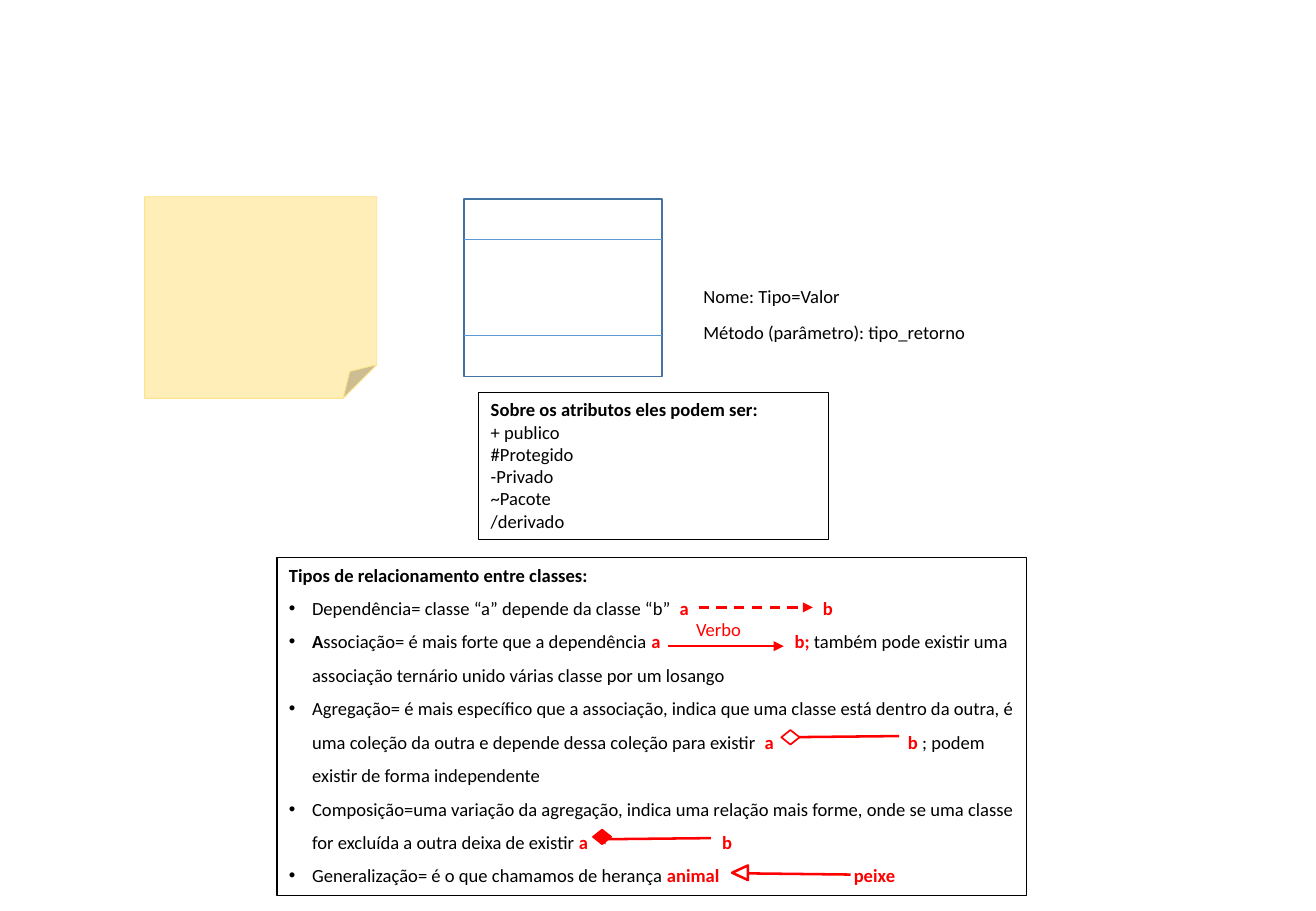
from lxml import etree
from pptx import Presentation
from pptx.dml.color import RGBColor
from pptx.enum.dml import MSO_LINE
from pptx.enum.shapes import MSO_CONNECTOR, MSO_SHAPE as SHAPE
from pptx.enum.text import MSO_ANCHOR, MSO_AUTO_SIZE as AUTO, PP_ALIGN
from pptx.oxml.ns import qn
from pptx.util import Pt

PX = 9144  # 100 px to the inch
COLORS = {"black": "000000", "red": "FF0000", "white": "FFFFFF",
          "note": "FFEEB7", "edge": "FFE389", "frame": "43739E", "rule": "5B9BD5"}
GAP = 77  # points of extra width after the space that leaves room for an arrow

# A run is (text, style): "" plain, "b" bold, "r" red, "rb" red bold, "gap" wide space
LABELS = [
    ((569, 230, 143, 29), [("Nome: Tipo=Valor", "")]),
    ((569, 259, 260, 29), [("Método (parâmetro): tipo_retorno", "")]),
]
VERB = ((563, 504, 58, 29), [("Verbo", "r")])
SCOPES = [
    [("Sobre os atributos eles podem ser:", "b")],
    [("+ publico", "")],
    [("#Protegido", "")],
    [("-Privado", "")],
    [("~Pacote", "")],
    [("/derivado", "")],
]
TITLE = [("Tipos de relacionamento entre classes:", "b")]
LINKS = [
    [("Dependência= classe “a” depende da classe “b” ", ""),
     (" a", "rb"), (" ", "gap"), ("b", "rb")],
    [("A", "b"), ("ssociação= é mais forte que a dependência ", ""),
     ("a", "rb"), (" ", "gap"), ("b; ", "rb"),
     ("também pode existir uma associação ternário unido várias classe por um losango", "")],
    [("Agregação= é mais específico que a associação, indica que uma classe está dentro "
      "da outra, é uma coleção da outra e depende dessa coleção para existir ", ""),
     (" a", "rb"), (" ", "gap"), ("b ", "rb"),
     ("; podem existir de forma independente", "")],
    [("Composição=uma variação da agregação, indica uma relação mais forme, onde se uma "
      "classe for excluída a outra deixa de existir ", ""),
     ("a", "rb"), (" ", "gap"), ("b", "rb")],
    [("Generalização= é o que chamamos de herança ", ""),
     ("animal", "rb"), (" ", "gap"), ("peixe", "rb")],
]
# from, to, has arrowhead, dashed
ARROWS = [
    ((575, 500), (669, 500), True, True),
    ((550, 532), (645, 532), True, False),
    ((740, 606), (645, 607), True, False),
    ((585, 690), (490, 691), True, False),
    ((700, 720), (611, 719), False, False),
]
# shape, place, fill, line width, rotation
ENDS = [
    (SHAPE.DIAMOND, (643, 601, 15, 12), "white", 1, 0),
    (SHAPE.DIAMOND, (488, 683, 15, 12), "red", 1, 0),
    (SHAPE.ISOSCELES_TRIANGLE, (603, 712, 12, 13), "white", 1.5, 270),
]
CLASS = (382, 164, 163, 146)
RULES = (197, 276)


def rgb(name):
    return RGBColor.from_string(COLORS[name])


def scale(nums):
    return [n * PX for n in nums]


def block(where, kind, at, fill, line, width):
    shape = where.add_shape(kind, *scale(at))
    shape.shadow.inherit = False
    if fill:
        shape.fill.solid()
        shape.fill.fore_color.rgb = rgb(fill)
    else:
        shape.fill.background()
    shape.line.color.rgb = rgb(line)
    shape.line.width = Pt(width)
    return shape


def wire(where, start, end, color, width):
    line = where.add_connector(MSO_CONNECTOR.STRAIGHT, *scale(start + end))
    line.line.color.rgb = rgb(color)
    line.line.width = Pt(width)
    etree.SubElement(line._element.spPr, qn("a:effectLst"))
    return line


def bullet(para):
    props = para._p.get_or_add_pPr()
    props.set("marL", str(19 * PX))
    props.set("indent", str(-19 * PX))
    para.line_spacing = 1.5
    etree.SubElement(props, qn("a:buFont"), typeface="Arial")
    etree.SubElement(props, qn("a:buChar"), char="•")


def write(shape, paras, listed=(), wrap=True):
    """Fill a shape with plain paragraphs, then bulleted ones."""
    frame = shape.text_frame
    frame.word_wrap = wrap
    frame.auto_size = AUTO.SHAPE_TO_FIT_TEXT
    frame.vertical_anchor = MSO_ANCHOR.TOP
    for i, runs in enumerate([*paras, *listed]):
        para = frame.add_paragraph() if i else frame.paragraphs[0]
        para.alignment = PP_ALIGN.LEFT
        if i >= len(paras):
            bullet(para)
        for text, style in runs:
            run = para.add_run()
            run.text = text
            font = run.font
            font.name, font.size = "Calibri", Pt(11)
            font.bold = style in ("b", "rb")
            font.color.rgb = rgb("red" if style in ("r", "rb") else "black")
            if style == "gap":
                run._r.get_or_add_rPr().set("spc", str(GAP * 100))


def label(where, at, runs, wrap=True):
    write(where.add_textbox(*scale(at)), [runs], wrap=wrap)


def main():
    deck = Presentation()
    deck.slide_width, deck.slide_height = scale((1083, 750))
    shapes = deck.slides.add_slide(deck.slide_layouts[6]).shapes

    block(shapes, SHAPE.FOLDED_CORNER, (119, 162, 191, 166), "note", "edge", 0.5)

    group = shapes.add_group_shape().shapes
    block(group, SHAPE.RECTANGLE, CLASS, None, "frame", 1)
    left, right = CLASS[0], CLASS[0] + CLASS[2]
    for y in RULES:
        wire(group, (left, y), (right, y), "rule", 0.5)

    for at, runs in LABELS:
        label(shapes, at, runs)
    scopes = block(shapes, SHAPE.RECTANGLE, (394, 323, 288, 121), None, "black", 0.75)
    write(scopes, SCOPES)
    links = block(shapes, SHAPE.RECTANGLE, (228, 459, 617, 278), None, "black", 0.75)
    write(links, [TITLE], LINKS)
    label(shapes, *VERB, wrap=False)

    for start, end, head, dashed in ARROWS:
        line = wire(shapes, start, end, "red", 1.5).line
        if dashed:
            line.dash_style = MSO_LINE.DASH
        if head:
            etree.SubElement(line._get_or_add_ln(), qn("a:tailEnd"), type="triangle")
    for kind, at, fill, width, turn in ENDS:
        block(shapes, kind, at, fill, "red", width).rotation = turn

    deck.save("out.pptx")


if __name__ == "__main__":
    main()
